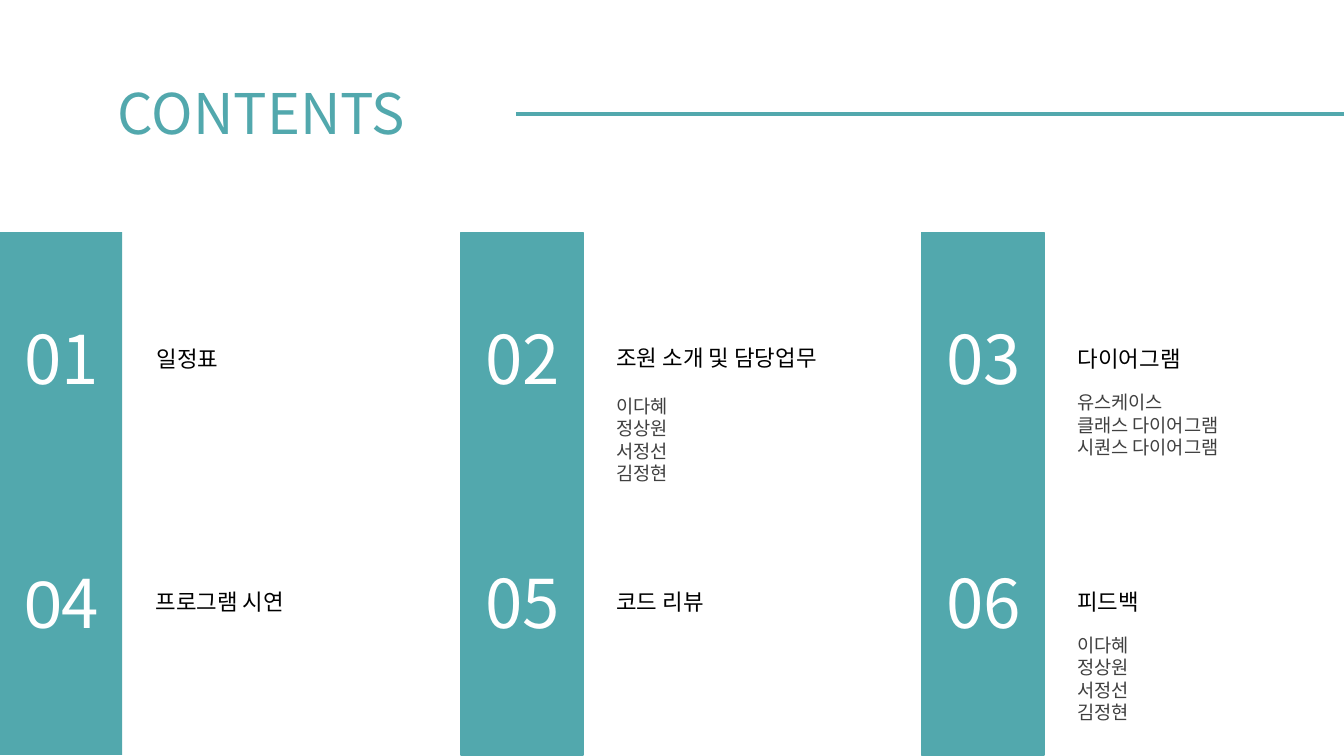
from lxml import etree
from pptx import Presentation
from pptx.dml.color import RGBColor
from pptx.enum import shapes, text
from pptx.oxml.ns import qn
from pptx.util import Cm, Pt

TEAL, WHITE, BLACK, GRAY = "52A8AD", "FFFFFF", "000000", "404040"
SANS = "Noto Sans CJK KR"
STEP = 8.71  # from one column to the next
ROWS = 5.74, 10.34  # top of the numbers in each row

# number runs, heading, shift of the heading, names below, their top
ITEMS = [
    ([("01", SANS)], "일정표", 0.02, [], 0),
    ([("02", SANS)], "조원 소개 및 담당업무", -0.02,
     ["이다혜", "정상원", "서정선", "김정현"], 7.21),
    ([("03", SANS)], "다이어그램", 0.01,
     ["유스케이스", "클래스 다이어그램", "시퀀스 다이어그램"], 7.14),
    ([("0", "Arial"), ("4", SANS)], "프로그램 시연", 0, [], 0),
    ([("05", SANS)], "코드 리뷰", 0, [], 0),
    ([("06", SANS)], "피드백", 0,
     ["이다혜", "정상원", "서정선", "김정현"], 11.73),
]


def rgb(code):
    return RGBColor.from_string(code)


def write(shape, lines, size, color, align=text.PP_ALIGN.LEFT,
          anchor=text.MSO_ANCHOR.TOP):
    """Fill a shape with lines, each a list of (words, font) runs."""
    frame = shape.text_frame
    frame.word_wrap = True
    frame.auto_size = text.MSO_AUTO_SIZE.NONE
    frame.vertical_anchor = anchor
    frame.margin_left = frame.margin_right = Cm(0.25)
    frame.margin_top = frame.margin_bottom = Cm(0.25)
    for i, line in enumerate(lines):
        para = frame.add_paragraph() if i else frame.paragraphs[0]
        para.alignment = align
        for words, face in line:
            run = para.add_run()
            run.text = words
            run.font.size = Pt(size)
            run.font.color.rgb = rgb(color)
            run.font.name = face
            east = etree.SubElement(run.font._element, qn("a:ea"))
            east.set("typeface", face)


def add_text(slide, box, lines, size, color, **style):
    shape = slide.shapes.add_textbox(*map(Cm, box))
    write(shape, lines, size, color, **style)


def add_title(slide):
    title = slide.shapes.title
    title.left, title.top, title.width, title.height = map(
        Cm, (1.98, 1.24, 7.39, 1.8))
    write(title, [[("CONTENTS", SANS)]], 30, TEAL)


def add_rule(slide):
    rule = slide.shapes.add_connector(
        shapes.MSO_CONNECTOR.STRAIGHT, Cm(9.75), Cm(2.15), Cm(25.4), Cm(2.15))
    rule.line.color.rgb = rgb(TEAL)
    rule.line.width = Pt(2.25)
    etree.SubElement(rule._element.spPr, qn("a:effectLst"))


def add_bar(slide, col):
    bar = slide.shapes.add_shape(
        shapes.MSO_SHAPE.RECTANGLE, Cm(col * STEP), Cm(4.39), Cm(2.31), Cm(9.88))
    bar.shadow.inherit = False
    bar.fill.solid()
    bar.fill.fore_color.rgb = rgb(TEAL)
    if col:
        bar.line.color.rgb = rgb(TEAL)
        bar.line.width = Pt(0.75)
    else:
        bar.line.fill.background()


def add_item(slide, index, number, head, shift, names, low):
    row, col = divmod(index, 3)
    left, top = col * STEP, ROWS[row]
    add_text(slide, (left - 0.36, top, 3.05, 2.06), [number], 36, WHITE,
             align=text.PP_ALIGN.CENTER, anchor=text.MSO_ANCHOR.MIDDLE)
    side = left + 2.69
    add_text(slide, (side + max(shift, 0), top + 0.53 + min(shift, 0), 6.71, 1.02),
             [[(head, SANS)]], 12, BLACK)
    if names:
        add_text(slide, (side, low, 6.71, 0.52 + 0.43 * len(names)),
                 [[(name, SANS)] for name in names], 10, GRAY)


def main():
    deck = Presentation()
    deck.slide_width, deck.slide_height = Cm(25.4), Cm(14.29)
    slide = deck.slides.add_slide(deck.slide_layouts[5])
    add_title(slide)
    add_rule(slide)
    for col in range(3):
        add_bar(slide, col)
    for index, item in enumerate(ITEMS):
        add_item(slide, index, *item)
    deck.save("out.pptx")


if __name__ == "__main__":
    main()
